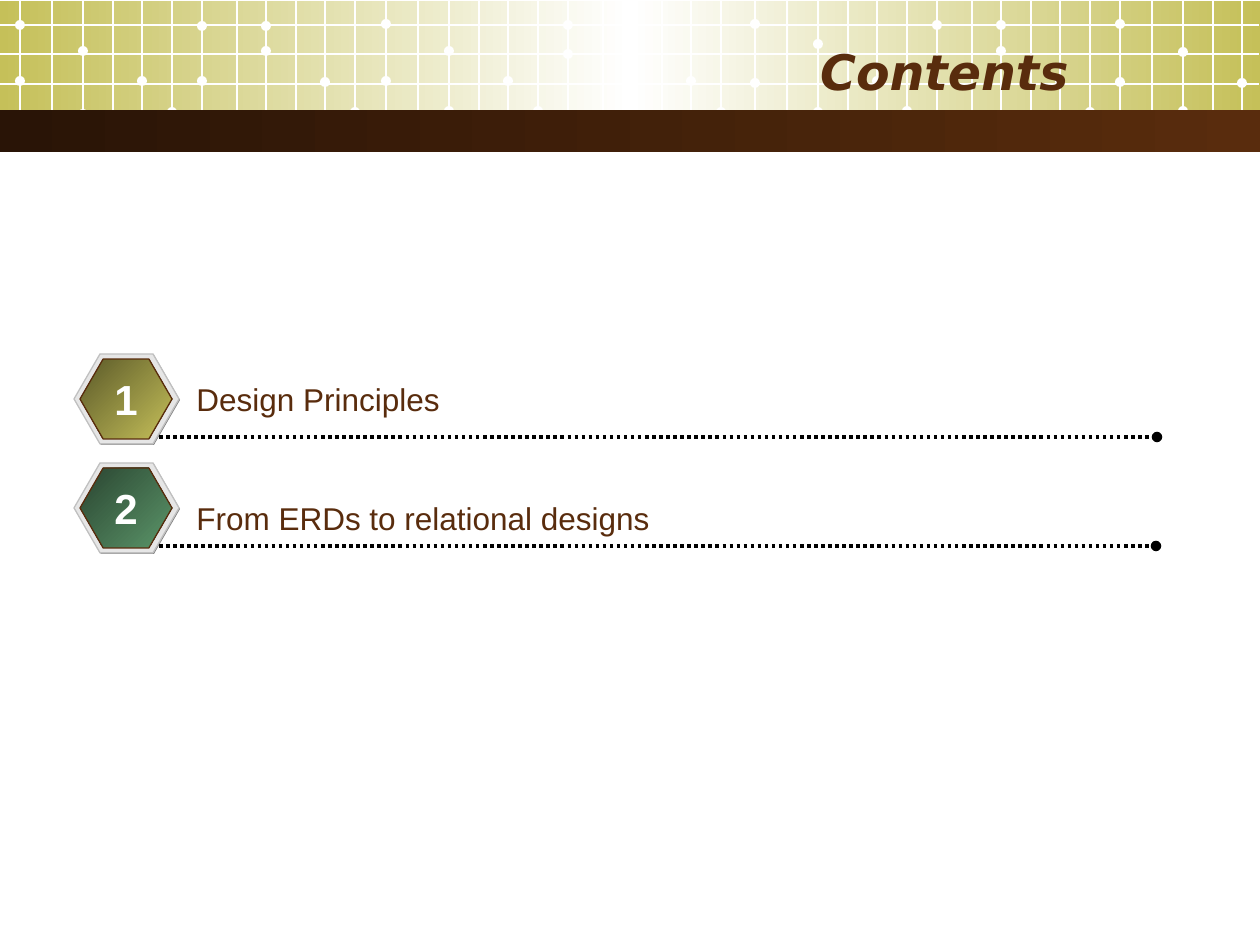
from copy import deepcopy

from pptx import Presentation
from pptx.dml.color import RGBColor
from pptx.enum.dml import MSO_LINE_DASH_STYLE as Dash
from pptx.enum.shapes import MSO_CONNECTOR_TYPE as Link, MSO_SHAPE as Shape
from pptx.enum.text import MSO_ANCHOR as Anchor, MSO_AUTO_SIZE as Fit, PP_ALIGN as Align
from pptx.oxml.ns import qn
from pptx.oxml.xmlchemy import OxmlElement
from pptx.util import Pt

SCALE = 914400 / 126
COLOURS = {
    "white": "FFFFFF", "black": "000000", "brown": "592C0D", "dark brown": "291406",
    "olive": "C5C059", "dark olive": "5B5929", "green": "5B9569", "dark green": "2A4531",
    "shade": "808080", "plate": "E6E6E6", "rim": "C0C0C0",
}
BLOCK_STARTS = (20, 386, 755, 1120)
COLUMN_OFFSETS = (0, 32, 63, 93, 122, 152, 182, 217, 246, 276, 305, 335)
GRID_ROWS = (25, 54, 84, 112)
DOT_COLUMNS = (0, 0, 2, 2, 4, 5, 6, 6, 8, 8, 10, 11)
DOT_HEIGHTS = (
    (81, 25, 51, 114, 81, 112, 81, 26, 51, 26, 82, 112),
    (81, 24, 51, 111, 81, 111, 54, 25, 53, 25, 81, 112),
    (83, 24, 44, 112, 81, 111, 64, 25, 51, 25, 81, 112),
    (82, 24, 52, 111, 83),
)
ENTRIES = (
    ("1", "Design Principles", 354, 374, 1157, "dark olive", "olive"),
    ("2", "From ERDs to relational designs", 463, 493, 1156, "dark green", "green"),
)


def px(*lengths):
    return [round(length * SCALE) for length in lengths]


def rgb(name):
    return RGBColor.from_string(COLOURS[name])


class ContentsPage:
    """Draws styled elements on the current slide."""

    def __init__(self, deck):
        self.page = deck.slides.add_slide(deck.slide_layouts[5])
        self.shapes = self.page.shapes

    def group(self):
        return self.shapes.add_group_shape().shapes

    def shape(self, target, kind, place, colours, angle=0, outline=None):
        item = target.add_shape(kind, *px(*place))
        item.shadow.inherit = False
        if kind == Shape.HEXAGON:
            item.adjustments[0] = 0.289
        if len(colours) == 1:
            item.fill.solid()
            item.fill.fore_color.rgb = rgb(colours[0])
        else:
            self.gradient(item, colours, angle)
        if outline:
            item.line.color.rgb = rgb(outline)
            item.line.width = Pt(0.75)
        else:
            item.line.fill.background()

    def gradient(self, item, colours, angle):
        item.fill.gradient()
        item.fill.gradient_angle = angle
        stop_list = item.element.spPr.find(".//" + qn("a:gsLst"))
        for _ in colours[2:]:
            stop_list.append(deepcopy(stop_list[-1]))
        for index, (stop, colour) in enumerate(zip(item.fill.gradient_stops, colours)):
            stop.position = index / (len(colours) - 1)
            stop.color.rgb = rgb(colour)

    def line(self, target, start, end, colour, width=0.75, dotted=False):
        item = target.add_connector(Link.STRAIGHT, *px(*start, *end))
        item.line.color.rgb = rgb(colour)
        item.line.width = Pt(width)
        if dotted:
            item.line.dash_style = Dash.ROUND_DOT
            tail = OxmlElement("a:tailEnd")
            tail.set("type", "oval")
            item.element.spPr.find(qn("a:ln")).append(tail)
        item.element.spPr.append(OxmlElement("a:effectLst"))

    def fill_text(self, frame, words, size, colour, font="Arial", align=Align.LEFT, bold=False, italic=False):
        frame.text = words
        para = frame.paragraphs[0]
        para.alignment = align
        para.font.name, para.font.size = font, Pt(size)
        para.font.bold, para.font.italic = bold, italic
        para.font.color.rgb = rgb(colour)

    def text(self, place, words, size, colour, wrap=True, **style):
        frame = self.shapes.add_textbox(*px(*place)).text_frame
        frame.word_wrap = wrap
        self.fill_text(frame, words, size, colour, **style)

    def title(self, place, words):
        box = self.shapes.title
        box.left, box.top, box.width, box.height = px(*place)
        box.text_frame.auto_size = Fit.NONE
        box.text_frame.vertical_anchor = Anchor.MIDDLE
        self.fill_text(box.text_frame, words, 28, "brown", "DejaVu Sans", Align.RIGHT, True, True)
        box.element.getparent().append(box.element)

    def header(self):
        self.shape(self.shapes, Shape.RECTANGLE, (0, 1, 1260, 129), ("olive", "white", "olive"))
        grid = self.group()
        for start, heights in zip(BLOCK_STARTS, DOT_HEIGHTS):
            for offset in COLUMN_OFFSETS:
                if start + offset < 1260:
                    self.line(grid, (start + offset, 0), (start + offset, 139), "white")
            for column, height in zip(DOT_COLUMNS, heights):
                centre = start + COLUMN_OFFSETS[column]
                self.shape(grid, Shape.OVAL, (centre - 5, height - 5, 10, 10), ("white",))
        for row in GRID_ROWS:
            self.line(grid, (0, row), (1259, row), "white")
        self.shape(self.shapes, Shape.RECTANGLE, (0, 110, 1260, 42), ("dark brown", "brown"))

    def entry(self, number, words, top, label_top, line_end, dark, light):
        badge = self.group()
        self.shape(badge, Shape.HEXAGON, (75, top + 1, 105, 90), ("shade",))
        self.shape(badge, Shape.HEXAGON, (74, top, 105, 90), ("plate",), outline="rim")
        self.shape(badge, Shape.HEXAGON, (80, top + 5, 92, 80), (dark, light), 315, "brown")
        self.line(self.shapes, (159, top + 83), (line_end, top + 83), "black", 2, True)
        self.text((184, label_top, 1030, 50), words, 18, "brown")
        self.text((102, top + 13, 48, 63), number, 24, "white", False, align=Align.CENTER, bold=True)


def main():
    deck = Presentation()
    deck.slide_width, deck.slide_height = px(1260, 945)
    contents = ContentsPage(deck)
    contents.header()
    contents.title((63, 32, 1018, 78), "Contents")
    for entry in ENTRIES:
        contents.entry(*entry)
    deck.save("out.pptx")


if __name__ == "__main__":
    main()
